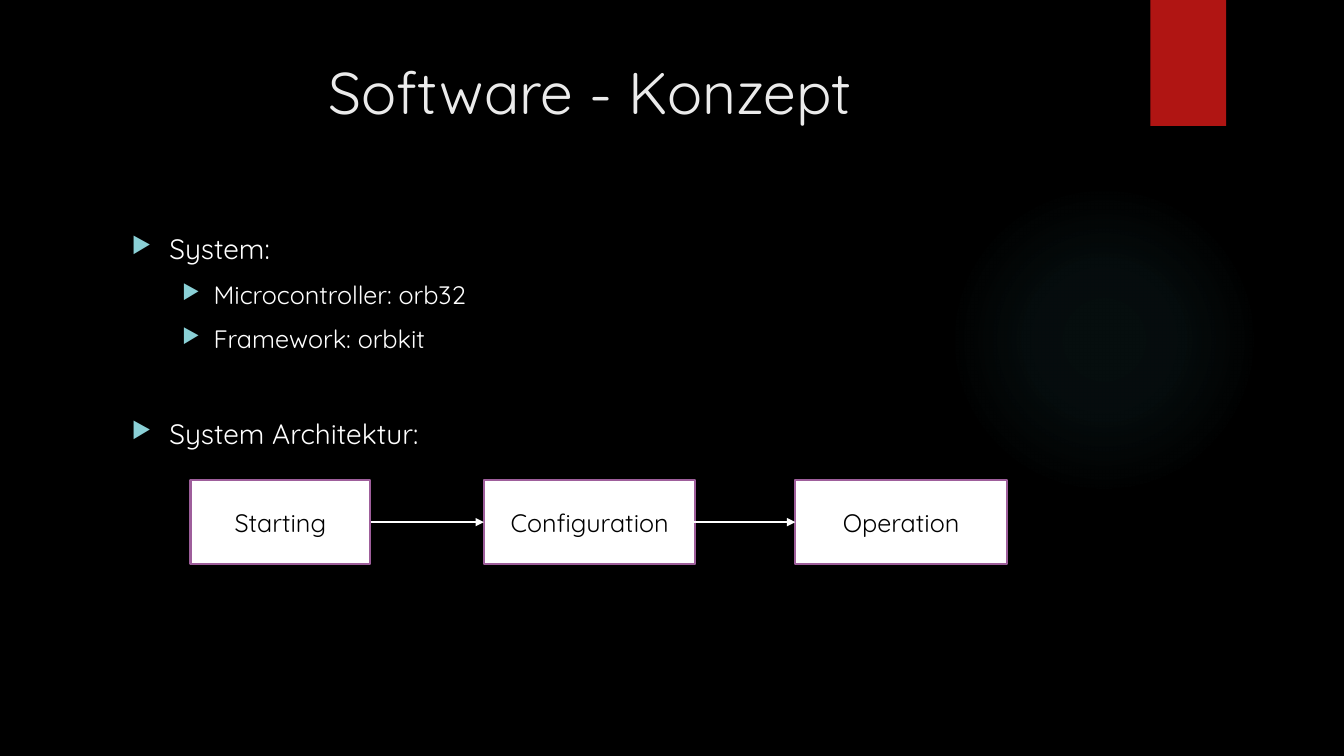
from dataclasses import dataclass

from lxml import etree
from pptx import Presentation
from pptx.dml.color import RGBColor
from pptx.enum.shapes import MSO_CONNECTOR, MSO_SHAPE
from pptx.enum.text import MSO_ANCHOR, PP_ALIGN
from pptx.oxml import parse_xml
from pptx.oxml.ns import nsdecls, qn
from pptx.util import Pt

RECTANGLE = MSO_SHAPE.RECTANGLE
ELLIPSE = MSO_SHAPE.OVAL
STRAIGHT = MSO_CONNECTOR.STRAIGHT
CENTER = PP_ALIGN.CENTER
MIDDLE = MSO_ANCHOR.MIDDLE

FONT = "Quicksand"
BLACK = "000000"
WHITE = "FFFFFF"
TITLE_GREY = "EBEBEB"
RED = "B01513"
PURPLE = "9E5E9B"
BULLET_BLUE = "8AD0D6"
GLOW_BLUE = "50B9C1"
GLOW_STOPS = ((0, 7), (36, 6), (69, 0))

STAGE_TOP = 342.72
STAGE_HEIGHT = 60.48
ARROW_LENGTH = 80.64
LEFT_SITE = 1


@dataclass
class Bullet:
    text: str
    level: int = 0
    space_before: float = 10


@dataclass
class Level:
    size: float
    margin: float
    hanging: float


@dataclass
class Stage:
    text: str
    left: float
    width: float


LEVELS = [Level(20, 27, 27), Level(18, 58.5, 22.5)]
BULLETS = [
    Bullet("System:"),
    Bullet("Microcontroller: orb32", 1),
    Bullet("Framework: orbkit", 1),
    Bullet("System Architektur:", space_before=45),
]
STAGES = [
    Stage("Starting", 136.08, 128.4),
    Stage("Configuration", 345.6, 151.2),
    Stage("Operation", 568.08, 151.2),
]


def color(value: str) -> RGBColor:
    return RGBColor.from_string(value)


def style_runs(paragraph, size: float, text_color: str) -> None:
    for run in paragraph.runs:
        run.font.name = FONT
        run.font.size = Pt(size)
        run.font.color.rgb = color(text_color)


def add_plain_shape(slide, kind, left: float, top: float, width: float, height: float):
    shape = slide.shapes.add_shape(kind, Pt(left), Pt(top), Pt(width), Pt(height))
    shape.shadow.inherit = False
    shape.line.fill.background()
    return shape


def add_glow(slide) -> None:
    shape = add_plain_shape(slide, ELLIPSE, 677.5, 131.75, 221.75, 221.75)
    shape.fill.background()
    stops = "".join(
        f'<a:gs pos="{position * 1000}"><a:srgbClr val="{GLOW_BLUE}">'
        f'<a:alpha val="{opacity * 1000}"/></a:srgbClr></a:gs>'
        for position, opacity in GLOW_STOPS
    )
    gradient = parse_xml(
        f'<a:gradFill {nsdecls("a")}><a:gsLst>{stops}</a:gsLst><a:path path="circle">'
        '<a:fillToRect l="50000" t="50000" r="50000" b="50000"/></a:path></a:gradFill>'
    )
    properties = shape.element.spPr
    properties.replace(properties.find(qn("a:noFill")), gradient)


def add_ribbon(slide) -> None:
    shape = add_plain_shape(slide, RECTANGLE, 821.75, 0, 54, 90)
    shape.fill.solid()
    shape.fill.fore_color.rgb = color(RED)


def add_text_frame(slide, left: float, top: float, width: float, height: float):
    box = slide.shapes.add_textbox(Pt(left), Pt(top), Pt(width), Pt(height))
    box.text_frame.word_wrap = True
    return box.text_frame


def add_title(slide) -> None:
    text_frame = add_text_frame(slide, 51, 36, 741, 110)
    text_frame.text = "Software - Konzept"
    paragraph = text_frame.paragraphs[0]
    paragraph.alignment = CENTER
    style_runs(paragraph, 42, TITLE_GREY)


def format_bullet(paragraph, level: Level) -> None:
    properties = paragraph._p.get_or_add_pPr()
    properties.set("marL", str(Pt(level.margin)))
    properties.set("indent", str(-Pt(level.hanging)))
    bullet_color = etree.SubElement(properties, qn("a:buClr"))
    etree.SubElement(bullet_color, qn("a:srgbClr"), val=BULLET_BLUE)
    etree.SubElement(properties, qn("a:buSzPct"), val="80000")
    etree.SubElement(properties, qn("a:buChar"), char="▶")


def add_bullets(slide) -> None:
    text_frame = add_text_frame(slide, 87, 162, 704, 330.5)
    text_frame.text = "\n".join(bullet.text for bullet in BULLETS)
    for index, (paragraph, bullet) in enumerate(zip(text_frame.paragraphs, BULLETS)):
        level = LEVELS[bullet.level]
        paragraph.level = bullet.level
        paragraph.space_before = Pt(bullet.space_before if index else 0)
        style_runs(paragraph, level.size, WHITE)
        format_bullet(paragraph, level)


def add_stage(slide, stage: Stage):
    shape = add_plain_shape(slide, RECTANGLE, stage.left, STAGE_TOP, stage.width, STAGE_HEIGHT)
    shape.fill.solid()
    shape.fill.fore_color.rgb = color(WHITE)
    shape.line.color.rgb = color(PURPLE)
    shape.line.width = Pt(1.5)
    shape.text_frame.text = stage.text
    shape.text_frame.vertical_anchor = MIDDLE
    paragraph = shape.text_frame.paragraphs[0]
    paragraph.alignment = CENTER
    style_runs(paragraph, 18, BLACK)
    return shape


def add_arrow_to(slide, stage: Stage, stage_shape) -> None:
    middle = Pt(STAGE_TOP + STAGE_HEIGHT / 2)
    arrow = slide.shapes.add_connector(
        STRAIGHT, Pt(stage.left - ARROW_LENGTH), middle, Pt(stage.left), middle
    )
    arrow.end_connect(stage_shape, LEFT_SITE)
    arrow.line.color.rgb = color(WHITE)
    arrow.line.width = Pt(1.5)
    etree.SubElement(arrow.line._get_or_add_ln(), qn("a:tailEnd"), type="triangle")
    etree.SubElement(arrow.element.spPr, qn("a:effectLst"))


def main() -> None:
    presentation = Presentation()
    presentation.slide_width = Pt(960)
    presentation.slide_height = Pt(540)
    slide = presentation.slides.add_slide(presentation.slide_layouts[6])
    slide.background.fill.solid()
    slide.background.fill.fore_color.rgb = color(BLACK)

    add_glow(slide)
    add_ribbon(slide)
    add_title(slide)
    add_bullets(slide)
    stage_shapes = [add_stage(slide, stage) for stage in STAGES]
    for stage, stage_shape in zip(STAGES[1:], stage_shapes[1:]):
        add_arrow_to(slide, stage, stage_shape)

    presentation.save("out.pptx")


if __name__ == "__main__":
    main()
